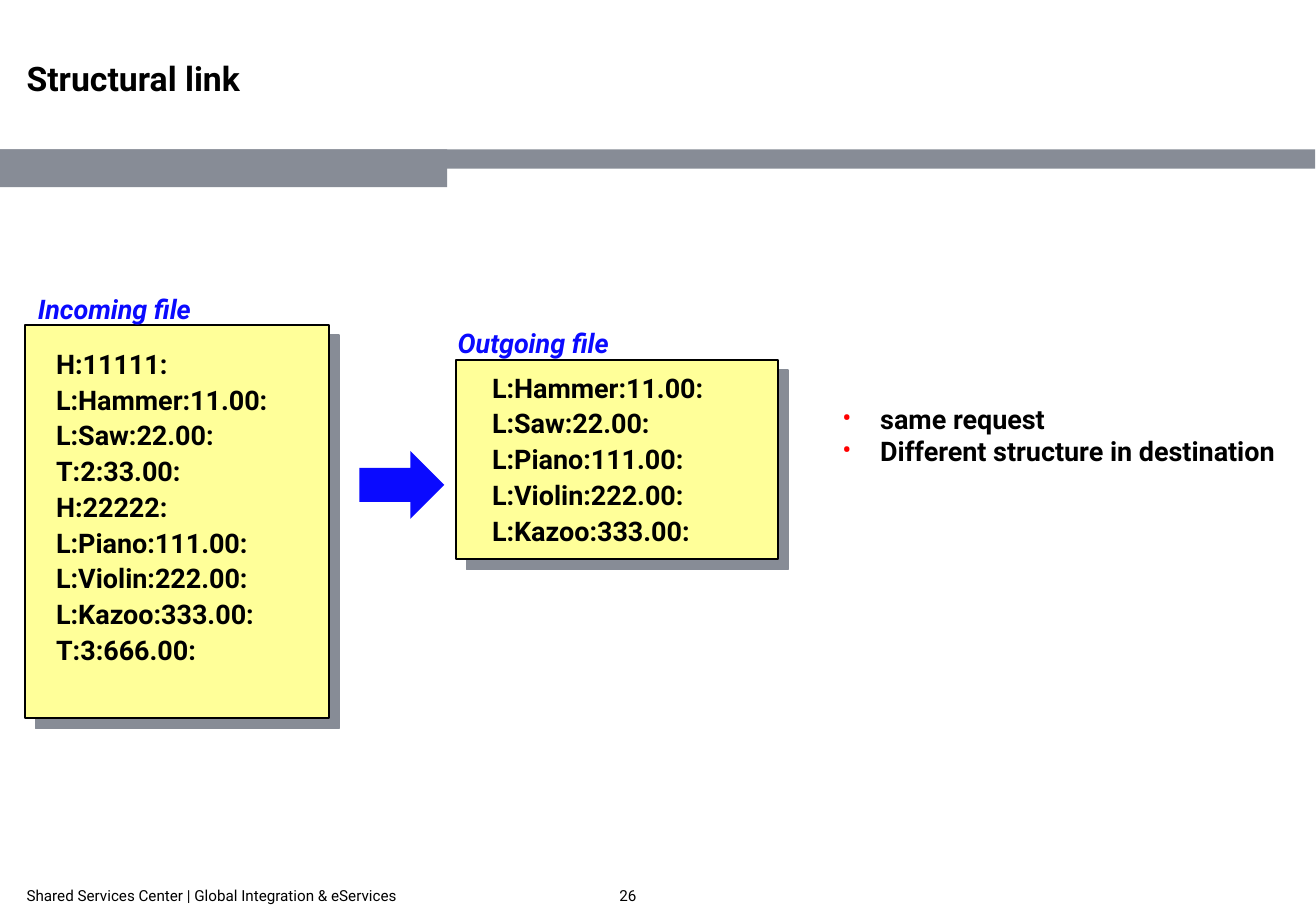
"""Build the slide that shows a structural link between an incoming and an outgoing file."""
import lxml.etree
import pptx
import pptx.dml.color
import pptx.enum.shapes
import pptx.enum.text
import pptx.oxml.ns
import pptx.util

Pt = pptx.util.Pt
RGBColor = pptx.dml.color.RGBColor
Shape = pptx.enum.shapes.MSO_SHAPE
Anchor = pptx.enum.text.MSO_ANCHOR
qn = pptx.oxml.ns.qn

BLACK = RGBColor(0x00, 0x00, 0x00)
GRAY = RGBColor(0x87, 0x8C, 0x96)
YELLOW = RGBColor(0xFF, 0xFF, 0x99)
BLUE = RGBColor(0x0A, 0x0A, 0xFF)
RED = RGBColor(0xFF, 0x00, 0x00)

FONT = "Roboto"
TITLE = {"size": Pt(20), "bold": True}
BODY = {"size": Pt(16), "bold": True}
LABEL = {"size": Pt(16), "bold": True, "italic": True}
FOOTER = {"size": Pt(9)}
PADDING = (7.2, 3.6)
SLIDE_WIDTH = 780.48
SLIDE_HEIGHT = 540


class SlideBuilder:
    """Holds the style and the current slide."""

    def __init__(self, presentation):
        self.slide = presentation.slides.add_slide(presentation.slide_layouts[6])

    def block(self, box, fill, kind=Shape.RECTANGLE):
        """Add a plain filled shape without an outline."""
        shape = self.slide.shapes.add_shape(kind, *map(Pt, box))
        shape.shadow.inherit = False
        shape.fill.solid()
        shape.fill.fore_color.rgb = fill
        shape.line.fill.background()
        return shape

    def card(self, box):
        """Add an outlined card with a hard shadow."""
        shape = self.block(box, YELLOW)
        shape.line.color.rgb = BLACK
        shape.line.width = Pt(1)
        effects = shape._element.spPr.find(qn("a:effectLst"))
        shadow = lxml.etree.SubElement(
            effects, qn("a:outerShdw"), blurRad="0", dist=str(Pt(8.5)),
            dir="2700000", algn="ctr", rotWithShape="0")
        lxml.etree.SubElement(shadow, qn("a:srgbClr"), val=str(GRAY))

    def text(self, box, lines, style, color=BLACK, padding=(0, 0),
             anchor=Anchor.TOP, gap=0, bullet=None):
        """Add a text box with one paragraph per line."""
        frame = self.slide.shapes.add_textbox(*map(Pt, box)).text_frame
        across, down = map(Pt, padding)
        layout = {"word_wrap": True, "vertical_anchor": anchor,
                  "margin_left": across, "margin_right": across,
                  "margin_top": down, "margin_bottom": down}
        for name, value in layout.items():
            setattr(frame, name, value)
        for index, line in enumerate(lines):
            paragraph = frame.paragraphs[0] if index == 0 else frame.add_paragraph()
            paragraph.text = line
            if bullet:
                self.bullet(paragraph, bullet)
            if index and gap:
                paragraph.space_before = Pt(gap)
            for name, value in {"name": FONT, **style}.items():
                setattr(paragraph.font, name, value)
            paragraph.font.color.rgb = color

    def bullet(self, paragraph, color):
        """Give a paragraph a coloured bullet with a hanging indent."""
        properties = paragraph._p.get_or_add_pPr()
        properties.set("marL", str(Pt(22.5)))
        properties.set("indent", str(Pt(-22.5)))
        bullet_color = lxml.etree.SubElement(properties, qn("a:buClr"))
        lxml.etree.SubElement(bullet_color, qn("a:srgbClr"), val=str(color))
        lxml.etree.SubElement(properties, qn("a:buFont"), typeface=FONT)
        lxml.etree.SubElement(properties, qn("a:buChar"), char="•")


def main():
    """Build and save the slide."""
    presentation = pptx.Presentation()
    presentation.slide_width = Pt(SLIDE_WIDTH)
    presentation.slide_height = Pt(SLIDE_HEIGHT)
    builder = SlideBuilder(presentation)

    builder.block((0, 88.6, 780, 11.4), GRAY)
    builder.block((0, 88.6, 265.2, 22.4), GRAY)
    builder.text((15.8, 34.5, 544.3, 51), ["Structural link"], TITLE)

    first_order = ["L:Hammer:11.00:", "L:Saw:22.00:"]
    second_order = ["L:Piano:111.00:", "L:Violin:222.00:", "L:Kazoo:333.00:"]
    incoming = ["H:11111:", *first_order, "T:2:33.00:",
                "H:22222:", *second_order, "T:3:666.00:"]
    outgoing = first_order + second_order
    files = [
        ("Incoming file", (15.3, 169.8, 118, 26.6), (15, 192.6, 180, 233.2),
         (26.2, 202.3, 179.3, 195.8), incoming),
        ("Outgoing file", (264.4, 190, 117.4, 26.6), (270.6, 213.4, 190.8, 118.2),
         (284.7, 216.4, 179.3, 111.6), outgoing),
    ]
    for label, label_box, card_box, records_box, records in files:
        builder.card(card_box)
        builder.text(records_box, records, BODY, padding=PADDING, gap=2)
        builder.text(label_box, [label], LABEL, BLUE, PADDING)

    builder.block((213.1, 267.3, 50.4, 40.3), BLUE, Shape.RIGHT_ARROW)
    builder.text((492.5, 234.9, 288, 46),
                 ["same request", "Different structure in destination"],
                 BODY, padding=PADDING, bullet=RED)

    footers = [(15.8, 334.8, "Shared Services Center | Global Integration & eServices"),
               (367.4, 45.4, "26")]
    for left, width, line in footers:
        builder.text((left, 525.3, width, 11.5), [line], FOOTER, anchor=Anchor.MIDDLE)

    presentation.save("out.pptx")


if __name__ == "__main__":
    main()
